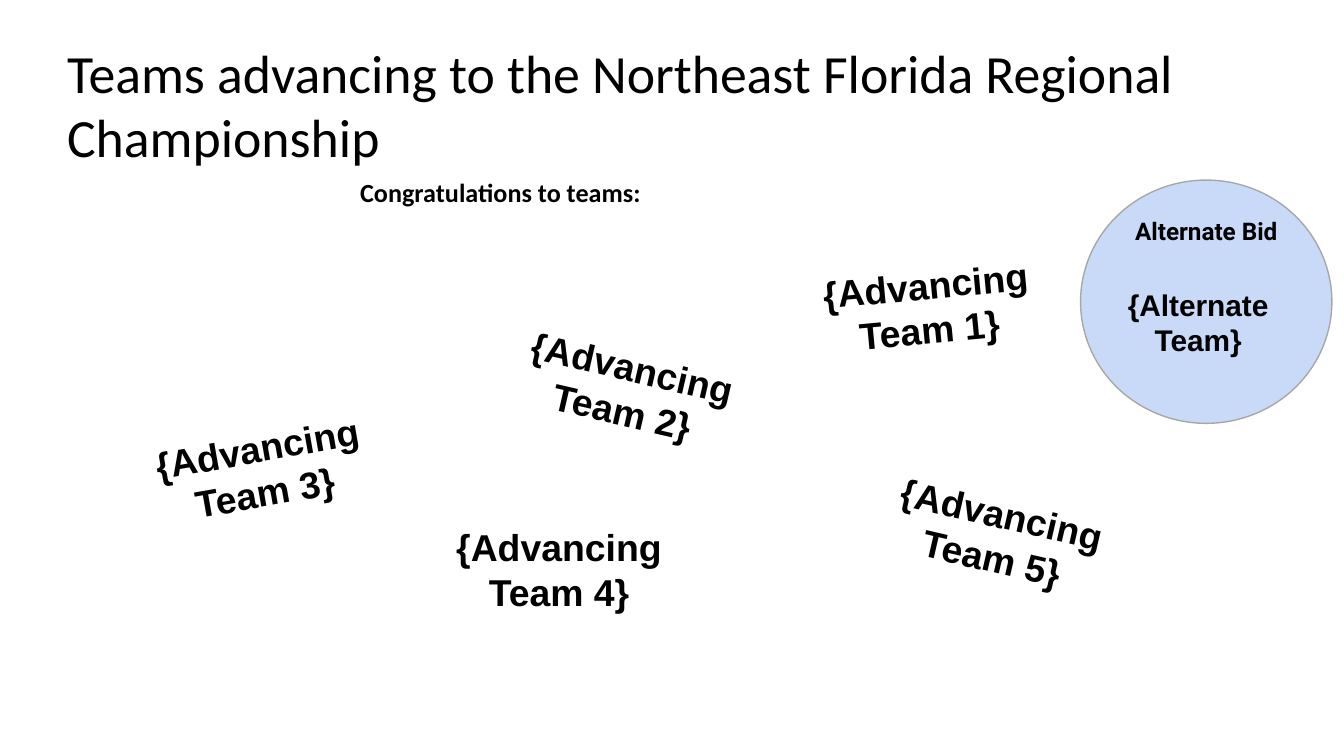
"""Build the slide of teams advancing to the regional championship."""
from pptx import Presentation
from pptx.dml.color import RGBColor
from pptx.enum.shapes import MSO_SHAPE as Shape
from pptx.enum.text import MSO_ANCHOR as Anchor, PP_ALIGN as Align
from pptx.util import Inches, Pt

BLACK = RGBColor(0, 0, 0)
WHITE = RGBColor(255, 255, 255)
BLUE = RGBColor(0xC9, 0xDA, 0xF8)
GRAY = RGBColor(0xA7, 0xA7, 0xA7)

WIDE = 10
HIGH = WIDE * 9 / 16
TITLE = "Teams advancing to the Northeast Florida Regional Championship"
LEAD = "Congratulations to teams:"
TEAMS = [
    (3, 0.8, 3.06, -10.1),
    (2, 3.53, 2.46, 13),
    (1, 5.76, 1.85, -5.4),
    (4, 3.02, 3.8, 0),
    (5, 6.28, 3.55, 13),
]
TEAM_SIZE = (2.28, 0.85)
OVAL = (8.04, 1.34, 1.87, 1.81)
NOTES = [
    ("Alternate Bid", (8.32, 1.51, 1.31, 0.59), "Roboto", 13),
    ("{Alternate Team}", (8.19, 2.03, 1.45, 0.51), "Arial", 16),
]


def add_text(slide, text, area, font="Arial", size=20, bold=True,
             align=Align.CENTER, anchor=Anchor.TOP, inset=0.1, turn=0, fill=None):
    box = slide.shapes.add_textbox(*map(Inches, area))
    box.rotation = turn
    if fill is not None:
        box.fill.solid()
        box.fill.fore_color.rgb = fill
    frame = box.text_frame
    frame.word_wrap = True
    frame.vertical_anchor = anchor
    frame.margin_left = frame.margin_right = Inches(inset)
    frame.margin_top = frame.margin_bottom = Inches(inset)
    para = frame.paragraphs[0]
    para.alignment = align
    run = para.add_run()
    run.text = text
    run.font.name, run.font.size, run.font.bold = font, Pt(size), bold
    run.font.color.rgb = BLACK


def add_oval(slide):
    oval = slide.shapes.add_shape(Shape.OVAL, *map(Inches, OVAL))
    oval.shadow.inherit = False
    oval.fill.solid()
    oval.fill.fore_color.rgb = BLUE
    oval.line.color.rgb = GRAY
    oval.line.width = Pt(0.75)


def main():
    deck = Presentation()
    deck.slide_width, deck.slide_height = Inches(WIDE), Inches(HIGH)
    slide = deck.slides.add_slide(deck.slide_layouts[6])
    add_text(slide, TITLE, (0.5, 0.44, 9.07, 0.67), font="Calibri", size=28.8,
             bold=False, align=Align.LEFT, anchor=Anchor.MIDDLE, inset=0, fill=WHITE)
    add_text(slide, LEAD, (2.63, 1.26, 3.66, 0.59), font="Calibri", size=14,
             align=Align.LEFT, inset=0.05)
    for num, left, top, turn in TEAMS:
        add_text(slide, f"{{Advancing Team {num}}}", (left, top, *TEAM_SIZE), turn=turn)
    add_oval(slide)
    for text, area, font, size in NOTES:
        add_text(slide, text, area, font=font, size=size)
    deck.save("out.pptx")


if __name__ == "__main__":
    main()
